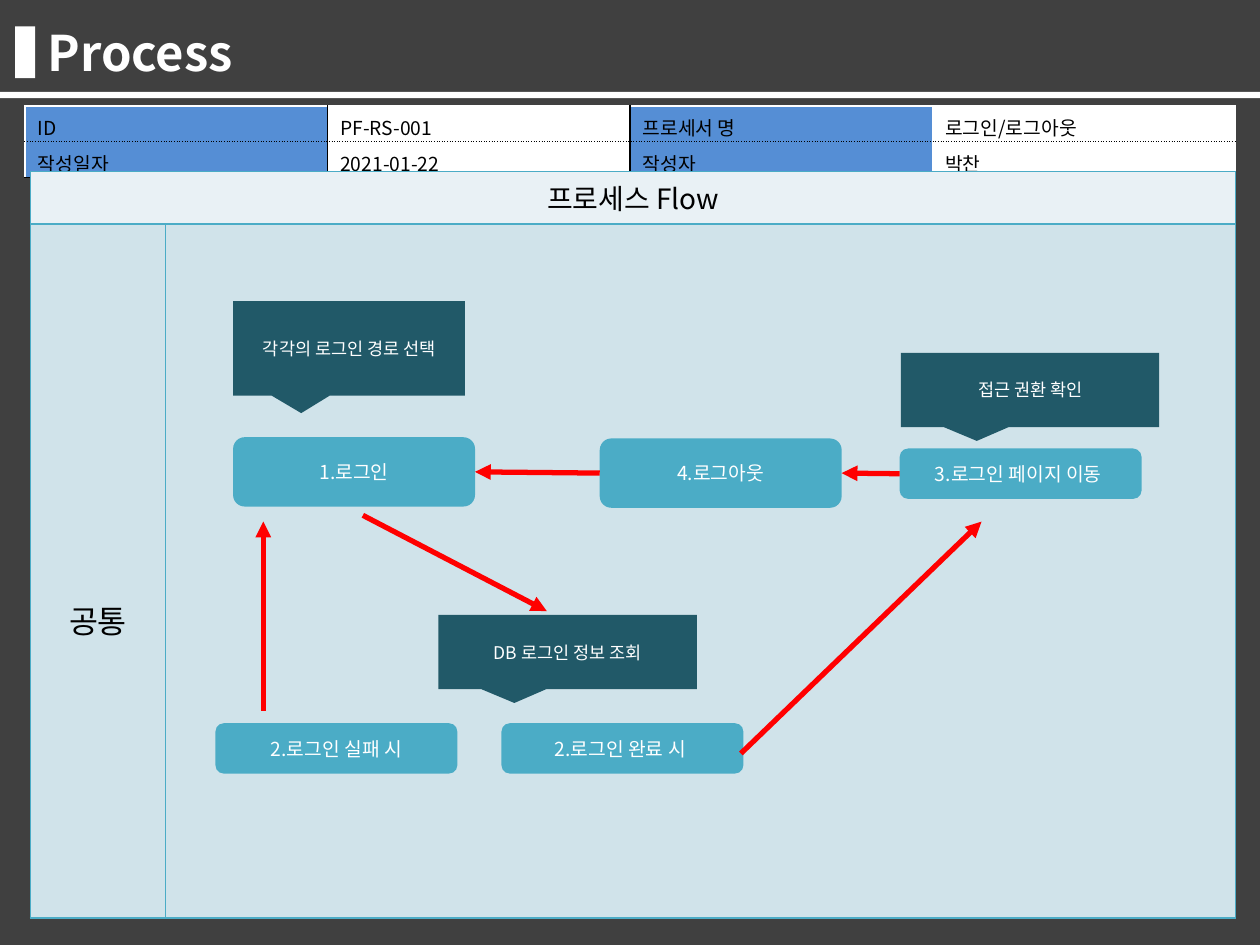
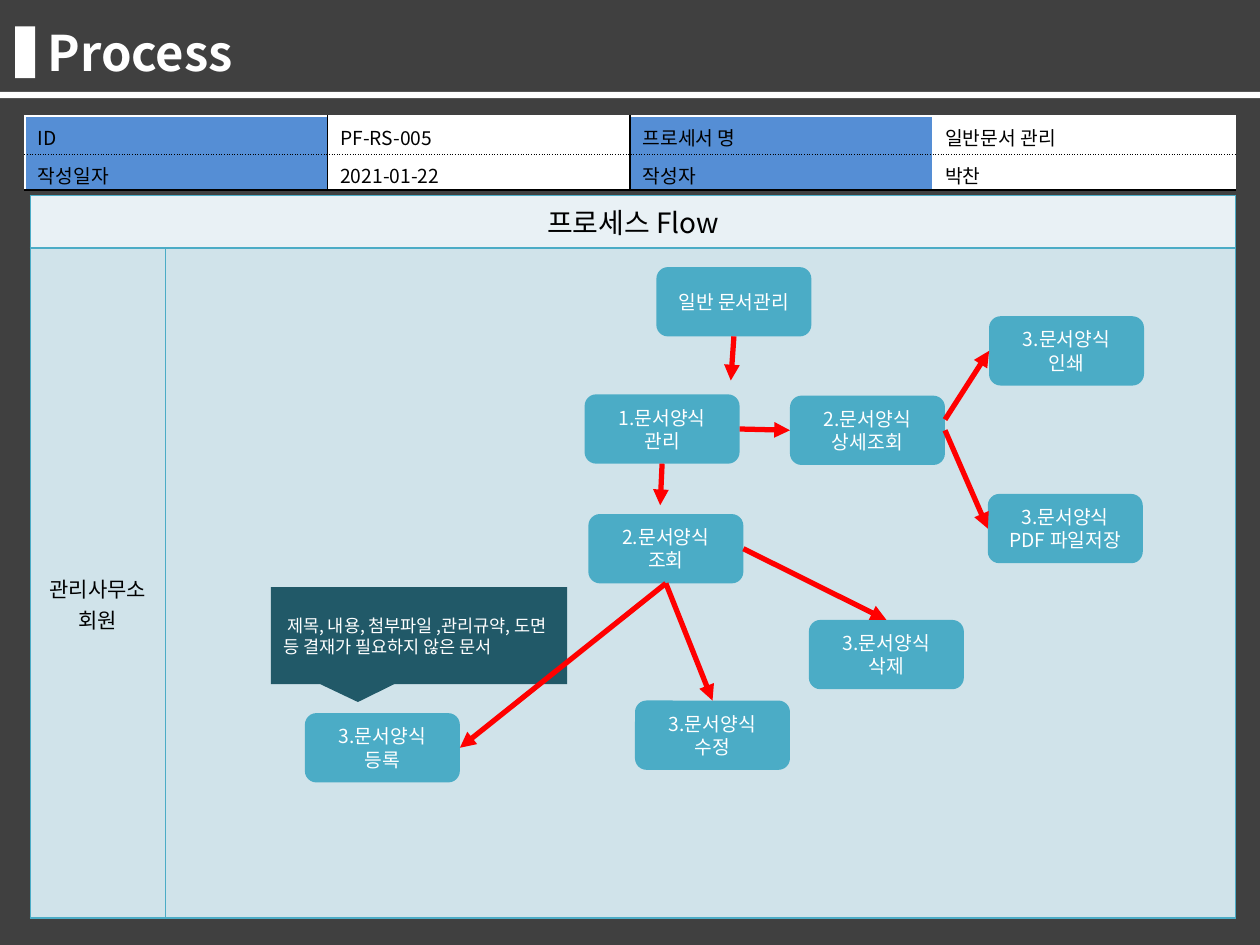
import pptx
import pptx.util
import pptx.dml.color
import pptx.enum.shapes
import pptx.enum.text
import pptx.oxml
import pptx.oxml.ns
import lxml.etree

RGB = pptx.dml.color.RGBColor
KIND = pptx.enum.shapes.MSO_SHAPE
ALIGN = pptx.enum.text.PP_ALIGN
ANCHOR = pptx.enum.text.MSO_ANCHOR

WHITE = RGB(0xFF, 0xFF, 0xFF)
BLACK = RGB(0, 0, 0)
DARK = RGB(0x40, 0x40, 0x40)
BLUE = RGB(0x55, 0x8E, 0xD5)
TEAL = RGB(0x4B, 0xAC, 0xC6)
DEEP = RGB(0x21, 0x59, 0x68)
PALE = RGB(0xE9, 0xF1, 0xF5)
MIST = RGB(0xD0, 0xE3, 0xEA)
RED = RGB(0xFF, 0, 0)
FACE = "Noto Sans CJK KR"

# The page is a grid of 100 columns by 75 rows; boxes are (left, top, width, height).
PAGE = (0, 0, 100, 75)
STEP = pptx.util.Inches(0.1)
SIDES = {"left": (0, 0.5), "right": (1, 0.5), "top": (0.5, 0), "bottom": (0.5, 1)}


def units(*grid):
    """Turn grid steps into slide lengths."""
    return [round(n * STEP) for n in grid]


def inner(box, x, y, w, h):
    """Place a part inside a box, from the box's top left corner."""
    return box[0] + x, box[1] + y, w, h


def put(item, **vals):
    """Set each given attribute on an item."""
    for key, val in vals.items():
        setattr(item, key, val)


def child(node, tag, **attrs):
    """Add a drawing element to an XML node."""
    return lxml.etree.SubElement(node, pptx.oxml.ns.qn("a:" + tag), attrs)


def write(frame, text, size, color, align=ALIGN.LEFT, bold=False):
    """Write one styled paragraph."""
    para = frame.paragraphs[0]
    para.alignment = align
    run = para.add_run()
    run.text = text
    put(run.font, name=FACE, size=pptx.util.Pt(size), bold=bold)
    run.font.color.rgb = color
    child(run.font._element, "ea", typeface=FACE)


def shape(slide, kind, box, color):
    """Add a flat preset shape."""
    part = slide.shapes.add_shape(kind, *units(*box))
    part.shadow.inherit = False
    part.fill.solid()
    part.fill.fore_color.rgb = color
    part.line.fill.background()
    return part


def label(slide, kind, box, color, text, size, align=ALIGN.CENTER):
    """Add a shape with white text in its middle."""
    part = shape(slide, kind, box, color)
    put(part.text_frame, word_wrap=True, vertical_anchor=ANCHOR.MIDDLE)
    write(part.text_frame, text, size, WHITE, align)
    return part


def arrow(slide, start, end):
    """Draw a red arrow between two grid points."""
    line = slide.shapes.add_connector(
        pptx.enum.shapes.MSO_CONNECTOR.STRAIGHT, *units(*start, *end))
    line.line.color.rgb = RED
    line.line.width = pptx.util.Pt(3)
    child(line.line._get_or_add_ln(), "tailEnd", type="triangle")
    child(line._element.spPr, "effectLst")


def table(slide, box, cols, rows):
    """Add a plain table with the given column and row sizes."""
    grid = slide.shapes.add_table(len(rows), len(cols), *units(*box)).table
    put(grid, first_row=False, horz_banding=False)
    for col, size in zip(grid.columns, units(*cols)):
        col.width = size
    for row, size in zip(grid.rows, units(*rows)):
        row.height = size
    return grid


def paint(cell, color, edges):
    """Fill a cell and draw its left, right, top and bottom edges."""
    props = cell._tc.get_or_add_tcPr()
    for tag, (tint, dash) in zip(("lnL", "lnR", "lnT", "lnB"), edges):
        edge = child(props, tag, w=str(pptx.util.Pt(1)))
        child(child(edge, "solidFill"), "srgbClr", val=str(tint))
        child(edge, "prstDash", val=dash)
    cell.fill.solid()
    cell.fill.fore_color.rgb = color


def header(slide, box):
    """Draw the dark page with its title, marker and rule."""
    shape(slide, KIND.RECTANGLE, box, DARK)
    title = slide.shapes.add_textbox(*units(*inner(box, 2.8, 1.3, 89.8, 5.7)))
    title.text_frame.word_wrap = True
    write(title.text_frame, "Process", 28, WHITE, bold=True)
    shape(slide, KIND.RECTANGLE, inner(box, 1.2, 2.1, 1.6, 4.1), WHITE)
    shape(slide, KIND.RECTANGLE, inner(box, 0, 7.3, box[2], 0.5), WHITE)


def info(slide, box, code, name):
    """Draw the table that identifies the process."""
    data = [["ID ", code, "프로세서 명", name],
            ["작성일자", "2021-01-22", "작성자", "박찬"]]
    last = 2.85
    grid = table(slide, box, [box[2] / 4] * 4, [box[3] - last, last])
    tall = [(WHITE, "solid"), (BLACK, "solid"), (BLACK, "solid"),
            (WHITE, "solid"), (WHITE, "solid")]
    flat = [(WHITE, "solid"), (BLACK, "sysDot"), (BLACK, "solid")]
    for r, row in enumerate(data):
        for c, text in enumerate(row):
            cell = grid.cell(r, c)
            top, low = units(0.55, 0)
            put(cell, margin_top=top, margin_bottom=low)
            write(cell.text_frame, text, 11, BLACK)
            paint(cell, WHITE if c % 2 else BLUE,
                  tall[c:c + 2] + flat[r:r + 2])


def stage(slide, box, actor, size, drop):
    """Draw the flow table, with the actor set a drop below its cell's top."""
    side, head = 10.75, 4.2
    grid = table(slide, box, [side, box[2] - side], [head, box[3] - head])
    grid.cell(0, 0).merge(grid.cell(0, 1))
    for r, color in enumerate((PALE, MIST)):
        for c in range(2):
            paint(grid.cell(r, c), color, [(TEAL, "solid")] * 4)
    write(grid.cell(0, 0).text_frame, "프로세스 Flow", 16, BLACK, ALIGN.CENTER)
    cell = grid.cell(1, 0)
    cell.margin_top = units(drop)[0]
    write(cell.text_frame, actor, size, BLACK, ALIGN.CENTER)


def flow(slide, box, nodes, notes, links):
    """Draw steps, callouts and arrows inside the flow table."""
    spots = {}
    for key, (text, *place) in nodes.items():
        spots[key] = inner(box, *place)
        label(slide, KIND.ROUNDED_RECTANGLE, spots[key], TEAL, text, 11)
    for text, align, *place in notes:
        note = label(slide, KIND.RECTANGULAR_CALLOUT, inner(box, *place),
                     DEEP, text, 10, align)
        note.adjustments[0], note.adjustments[1] = -0.206, 0.685

    def point(end):
        """Find a free point, or the middle of a step's side."""
        if end[0] not in spots:
            return box[0] + end[0], box[1] + end[1]
        x, y, w, h = spots[end[0]]
        across, down = SIDES[end[1]]
        return x + across * w, y + down * h

    for start, end in links:
        arrow(slide, point(start), point(end))


def page(deck, card, top, actor, nodes, notes, links):
    """Build one process slide."""
    slide = deck.slides.add_slide(deck.slide_layouts[6])
    header(slide, PAGE)
    info(slide, *card)
    box = (2.4, top, 95.65, 72.85 - top)
    stage(slide, box, *actor)
    flow(slide, box, nodes, notes, links)


BIG, LOW, SMALL = (19.2, 5.5), (19.2, 4), (12.3, 5.5)
MID = ALIGN.CENTER

LOGIN = dict(
    card=((2, 8.4, 96, 5.7), "PF-RS-001", "로그인/로그아웃"),
    top=13.6,
    actor=("공통", 18, 29.6),
    nodes={
        "login": ("1.로그인", 16.1, 21.1, *BIG),
        "done": ("2.로그인 완료 시 ", 37.4, 43.8, *LOW),
        "fail": ("2.로그인 실패 시", 14.7, 43.8, *LOW),
        "move": ("3.로그인 페이지 이동 ", 69, 22, *LOW),
        "logout": ("4.로그아웃", 45.2, 21.2, *BIG),
    },
    notes=[
        ("각각의 로그인 경로 선택", MID, 16.1, 10.3, 18.4, 7.5),
        ("DB 로그인 정보 조회", MID, 32.4, 35.2, 20.5, 5.9),
        ("접근 권환 확인", MID, 69.1, 14.4, 20.5, 5.9),
    ],
    links=[
        ((26.4, 27.3), (41, 34.9)),
        ((18.5, 42.8), (18.5, 27.8)),
        ((56.4, 46.2), (75.5, 27.8)),
        (("logout", "left"), ("login", "right")),
        (("move", "left"), ("logout", "right")),
    ],
)

PAPERS = dict(
    card=((2, 9.2, 96, 5.9), "PF-RS-005", "일반문서 관리"),
    top=15.5,
    actor=("관리사무소 회원", 12, 25.8),
    nodes={
        "root": ("일반 문서관리", 49.7, 5.7, *SMALL),
        "manage": ("1.문서양식 관리", 44, 15.8, *SMALL),
        "view": ("2.문서양식 조회", 44.3, 25.3, *SMALL),
        "add": ("3.문서양식 등록", 21.8, 41.1, *SMALL),
        "drop": ("3.문서양식 삭제", 61.8, 33.7, *SMALL),
        "edit": ("3.문서양식 수정", 48, 40.1, *SMALL),
        "detail": ("2.문서양식 상세조회", 60.3, 15.9, *SMALL),
        "print": ("3.문서양식 인쇄", 76.1, 9.6, *SMALL),
        "save": ("3.문서양식 PDF 파일저장", 76, 23.7, *SMALL),
    },
    notes=[
        (" 제목, 내용, 첨부파일 ,관리규약, 도면 등 결재가 필요하지 않은 문서",
         ALIGN.LEFT, 19.1, 31.1, 23.5, 7.7),
    ],
    links=[
        (("root", "bottom"), (55.6, 14.7)),
        (("manage", "bottom"), (50, 24.6)),
        (("manage", "right"), ("detail", "left")),
        ((72.6, 17.8), ("print", "left")),
        (("detail", "right"), ("save", "left")),
        (("view", "right"), ("drop", "top")),
        (("view", "bottom"), ("edit", "top")),
        (("view", "bottom"), ("add", "right")),
    ],
)

deck = pptx.Presentation()
wide, high = units(*PAGE[2:])
put(deck, slide_width=wide, slide_height=high)
for plan in (LOGIN, PAPERS):
    page(deck, **plan)
deck.save("out.pptx")
